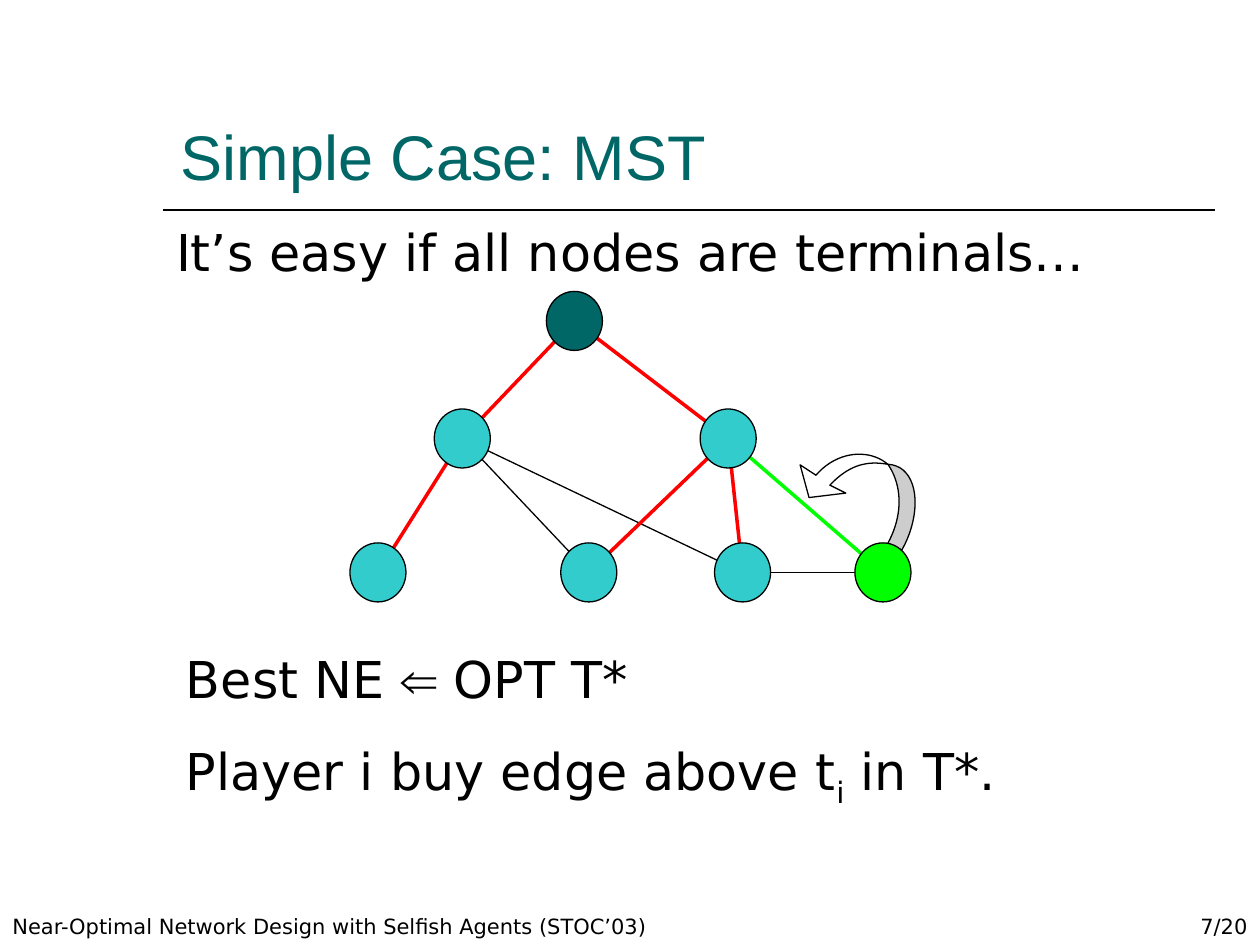
"""Build a slide on the spanning tree case of a network design game."""
import lxml.etree
import pptx
import pptx.dml.color
import pptx.enum.shapes
import pptx.enum.text
import pptx.oxml.ns
import pptx.util

Cm = pptx.util.Cm
Pt = pptx.util.Pt
RGB = pptx.dml.color.RGBColor
Align = pptx.enum.text.PP_ALIGN
Anchor = pptx.enum.text.MSO_ANCHOR

BLACK = RGB(0x00, 0x00, 0x00)
WHITE = RGB(0xFF, 0xFF, 0xFF)
GRAY = RGB(0xCD, 0xCD, 0xCD)
TEAL = RGB(0x00, 0x66, 0x66)
AQUA = RGB(0x33, 0xCC, 0xCC)
RED = RGB(0xFF, 0x00, 0x00)
GREEN = RGB(0x00, 0xFF, 0x00)
SANS = "DejaVu Sans"

WIDE, HIGH = 1.13, 1.19
NODES = {
    "root": (11.58, 6.47, TEAL),
    "left": (9.32, 8.84, AQUA),
    "right": (14.68, 8.84, AQUA),
    "a": (7.62, 11.54, AQUA),
    "b": (11.87, 11.54, AQUA),
    "c": (14.97, 11.54, AQUA),
    "player": (17.8, 11.54, GREEN),
}
EDGES = [
    (BLACK, 0.75, ["c player", "left b", "left c"]),
    (RED, 2, ["a left", "root left", "b right", "root right", "c right"]),
    (GREEN, 2, ["player right"]),
]
HEAD = [
    [(16.13, 9.37)], [(16.31, 10.03)], [(17.05, 9.94)], [(16.73, 9.78)],
    [(17.14, 9.35), (17.5, 9.29), (17.9, 9.36)],
    [(17.54, 9.05), (16.89, 9.07), (16.45, 9.58)],
]
TAIL = [
    [(17.9, 9.36)],
    [(18.54, 9.4), (18.6, 10.35), (18.18, 11.09)],
    [(17.9, 10.95)],
    [(18.2, 10.4), (18.2, 9.8), (17.9, 9.36)],
]


def write(shape, paras, size=29, font=SANS, color=BLACK, align=Align.LEFT,
          anchor=Anchor.TOP, gap=0):
    """Fill a shape with paragraphs, each a list of (text, run format) pairs."""
    frame = shape.text_frame
    frame.word_wrap = True
    frame.auto_size = pptx.enum.text.MSO_AUTO_SIZE.NONE
    frame.vertical_anchor = anchor
    for i, runs in enumerate(paras):
        para = frame.add_paragraph() if i else frame.paragraphs[0]
        para.alignment = align
        para.space_before = Pt(gap if i else 0)
        for text, style in runs:
            run = para.add_run()
            run.text = text
            run.font.size = Pt(size)
            run.font.name = style.get("font", font)
            run.font.color.rgb = color
            if "base" in style:
                run.font._element.set("baseline", str(style["base"] * 1000))


def box(slide, left, top, width, height, paras, **style):
    """Add a text box."""
    shape = slide.shapes.add_textbox(Cm(left), Cm(top), Cm(width), Cm(height))
    write(shape, paras, **style)


def line(slide, start, end, color, width):
    """Draw a straight line between two points."""
    kind = pptx.enum.shapes.MSO_CONNECTOR.STRAIGHT
    edge = slide.shapes.add_connector(kind, *map(Cm, start + end))
    edge.line.color.rgb = color
    edge.line.width = Pt(width)
    lxml.etree.SubElement(edge._element.spPr, pptx.oxml.ns.qn("a:effectLst"))


def paint(shape, fill):
    """Give a shape a flat fill and a thin black outline."""
    shape.shadow.inherit = False
    shape.fill.solid()
    shape.fill.fore_color.rgb = fill
    shape.line.color.rgb = BLACK
    shape.line.width = Pt(0.75)


def node(slide, x, y, fill):
    """Draw a graph node around its centre."""
    kind = pptx.enum.shapes.MSO_SHAPE.OVAL
    paint(slide.shapes.add_shape(kind, Cm(x - WIDE / 2), Cm(y - HIGH / 2),
                                 Cm(WIDE), Cm(HIGH)), fill)


def bend(ends, count=20):
    """Return points along a cubic curve given by four points."""
    points = []
    for k in range(1, count + 1):
        t = k / count
        parts = ((1 - t) ** 3, 3 * t * (1 - t) ** 2, 3 * t * t * (1 - t), t ** 3)
        points.append(tuple(sum(w * p[axis] for w, p in zip(parts, ends))
                            for axis in (0, 1)))
    return points


def outline(slide, steps, fill):
    """Draw a closed outline from straight and curved steps."""
    points = list(steps[0])
    for step in steps[1:]:
        points += bend([points[-1], *step]) if len(step) == 3 else step
    spots = [(Cm(x), Cm(y)) for x, y in points]
    form = slide.shapes.build_freeform(*spots[0])
    form.add_line_segments(spots[1:], close=True)
    paint(form.convert_to_shape(), fill)


def graph(slide):
    """Draw the edges, the curved arrow and the nodes."""
    for color, width, pairs in EDGES:
        for pair in pairs:
            start, end = (NODES[name][:2] for name in pair.split())
            line(slide, start, end, color, width)
    outline(slide, TAIL, GRAY)
    outline(slide, HEAD, WHITE)
    for spot in NODES.values():
        node(slide, *spot)


def main():
    """Build and save the slide."""
    deck = pptx.Presentation()
    deck.slide_width, deck.slide_height = Cm(25.4), Cm(19.05)
    slide = deck.slides.add_slide(deck.slide_layouts[5])
    title = slide.shapes.title
    title.left, title.top = Cm(3.39), Cm(0.85)
    title.width, title.height = Cm(21.5), Cm(3.17)
    write(title, [[("Simple Case: MST", {})]], size=36, font="Arial",
          color=TEAL, anchor=Anchor.BOTTOM)
    line(slide, (3.28, 4.24), (24.5, 4.24), BLACK, 1)
    box(slide, 3.3, 4.32, 19.58, 1.5,
        [[("It’s easy if all nodes are terminals…", {})]])
    box(slide, 3.5, 12.93, 20.45, 5.38, [
        [("Best NE ", {}), ("⇐", {"font": "Arial"}), (" OPT T*", {})],
        [("Player i buy edge above t", {}), ("i", {"base": -25}),
         (" in T*.", {})],
    ], gap=18)
    graph(slide)
    foot = {"size": 12, "anchor": Anchor.BOTTOM}
    box(slide, 0, 17.78, 14.5, 1.27,
        [[("Near-Optimal Network Design with Selfish Agents (STOC’03)", {})]],
        **foot)
    box(slide, 19.48, 17.78, 5.92, 1.27, [[("7/20", {})]],
        align=Align.RIGHT, **foot)
    deck.save("out.pptx")


if __name__ == "__main__":
    main()
